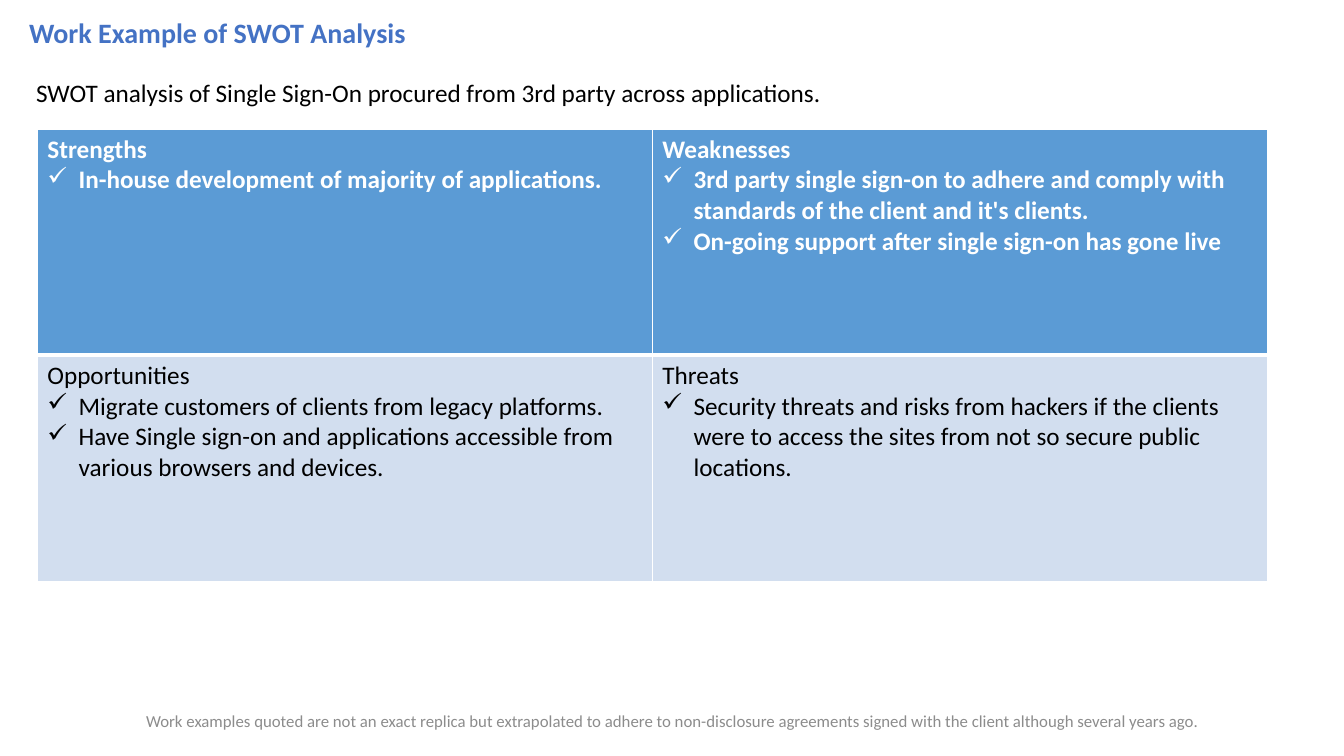
from dataclasses import dataclass

from lxml.etree import SubElement as Sub
from pptx import Presentation
from pptx.dml.color import RGBColor as Rgb
from pptx.enum.text import MSO_ANCHOR as Anchor, PP_ALIGN as Align
from pptx.oxml import parse_xml
from pptx.oxml.ns import nsdecls, qn
from pptx.util import Inches, Pt

COLORS = {
    "title": "4472C4",
    "text": "000000",
    "note": "8C8C8C",
    "light": "FFFFFF",
    "head": "5B9BD5",
    "body": "D2DEEF",
}
FONT = "Calibri"
INDENT = Inches(0.31)


@dataclass
class Label:
    """A line of text in its own box."""
    text: str
    box: tuple[float, float, float, float]
    size: int
    color: str
    bold: bool = False
    form: dict | None = None
    anchor: Anchor = Anchor.TOP


@dataclass
class Part:
    """One quarter of the SWOT grid."""
    name: str
    points: list[str]


@dataclass
class Band:
    """The look of one grid row."""
    fill: str
    color: str
    bold: bool
    top: int
    base: int


LABELS = [
    Label("Work Example of SWOT Analysis", (0.19, 0.06, 12.83, 0.57),
          20, "title", True, {"line_spacing": 0.9}, Anchor.MIDDLE),
    Label("SWOT analysis of Single Sign-On procured from 3rd party across "
          "applications.", (0.26, 0.75, 12.73, 6.04),
          18, "text", False, {"line_spacing": 0.9}),
    Label("Work examples quoted are not an exact replica but extrapolated to "
          "adhere to non-disclosure agreements signed with the client "
          "although several years ago.", (0.16, 6.95, 13.03, 0.4),
          12, "note", False, {"alignment": Align.CENTER}, Anchor.MIDDLE),
]
GRID = [
    [
        Part("Strengths",
             ["In-house development of majority of applications."]),
        Part("Weaknesses",
             ["3rd party single sign-on to adhere and comply with standards "
              "of the client and it's clients.",
              "On-going support after single sign-on has gone live"]),
    ],
    [
        Part("Opportunities",
             ["Migrate customers of clients from legacy platforms.",
              "Have Single sign-on and applications accessible from various "
              "browsers and devices."]),
        Part("Threats",
             ["Security threats and risks from hackers if the clients were to "
              "access the sites from not so secure public locations."]),
    ],
]
BANDS = [
    Band("head", "light", True, 1, 3),
    Band("body", "text", False, 3, 1),
]


def apply(item, form: dict) -> None:
    """Set each named value on the item."""
    for key, val in form.items():
        setattr(item, key, val)


def write(para, text: str, size: int, color: str, bold: bool) -> None:
    """Add a styled run to a paragraph."""
    run = para.add_run()
    run.text = text
    apply(run.font, {"name": FONT, "size": Pt(size), "bold": bold})
    run.font.color.rgb = Rgb.from_string(COLORS[color])


def add_label(slide, label: Label) -> None:
    """Place a text box."""
    frame = slide.shapes.add_textbox(*map(Inches, label.box)).text_frame
    apply(frame, {"word_wrap": True, "vertical_anchor": label.anchor})
    para = frame.paragraphs[0]
    apply(para, label.form or {})
    write(para, label.text, label.size, label.color, label.bold)


def add_tick(para) -> None:
    """Give a paragraph a hanging check mark."""
    props = para._p.get_or_add_pPr()
    props.set("marL", str(INDENT))
    props.set("indent", str(-INDENT))
    Sub(props, qn("a:buChar"), char="✓")


def add_edges(cell, band: Band) -> None:
    """Draw the white borders of a cell."""
    props = cell._tc.get_or_add_tcPr()
    edges = {"L": 1, "R": 1, "T": band.top, "B": band.base}
    for spot, (side, width) in enumerate(edges.items()):
        props.insert(spot, parse_xml(
            f'<a:ln{side} {nsdecls("a")} w="{Pt(width)}"><a:solidFill>'
            f'<a:srgbClr val="{COLORS["light"]}"/></a:solidFill></a:ln{side}>'))


def fill_cell(cell, part: Part, band: Band) -> None:
    """Write and colour one quarter of the grid."""
    cell.fill.solid()
    cell.fill.fore_color.rgb = Rgb.from_string(COLORS[band.fill])
    add_edges(cell, band)
    frame = cell.text_frame
    write(frame.paragraphs[0], part.name, 18, band.color, band.bold)
    for point in part.points:
        para = frame.add_paragraph()
        add_tick(para)
        write(para, point, 18, band.color, band.bold)


def add_grid(slide) -> None:
    """Place the SWOT table."""
    box = map(Inches, (0.37, 1.28, 12.2, 4.49))
    table = slide.shapes.add_table(len(GRID), len(GRID[0]), *box).table
    for r, (parts, band) in enumerate(zip(GRID, BANDS)):
        for c, part in enumerate(parts):
            fill_cell(table.cell(r, c), part, band)


def main() -> None:
    """Build and save the deck."""
    deck = Presentation()
    apply(deck, {"slide_width": Inches(13.33), "slide_height": Inches(7.5)})
    slide = deck.slides.add_slide(deck.slide_layouts[6])
    *heads, note = LABELS
    for label in heads:
        add_label(slide, label)
    add_grid(slide)
    add_label(slide, note)
    deck.save("out.pptx")


main()
